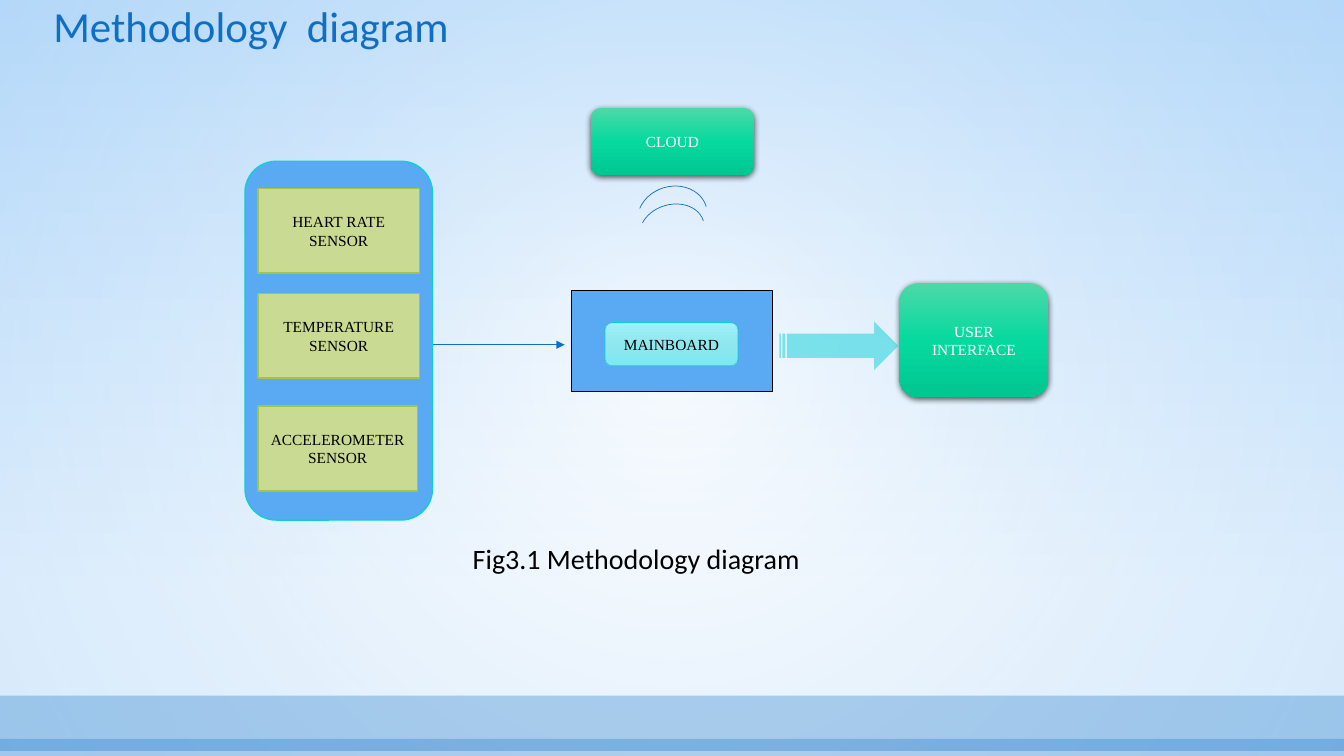
"""Build the methodology diagram slide: sensors, controller, cloud and user interface."""
from dataclasses import dataclass

from lxml.etree import SubElement
from pptx import Presentation
from pptx.dml.color import RGBColor
from pptx.enum.shapes import MSO_CONNECTOR, MSO_SHAPE
from pptx.enum.text import MSO_ANCHOR, PP_ALIGN
from pptx.oxml.ns import qn
from pptx.util import Inches, Pt

TITLE = "Methodology  diagram"
CAPTION = "Fig3.1 Methodology diagram"
CONTROLLER = "MAINBOARD"
SENSORS = [
    ("HEART RATE\nSENSOR", 1.87, 1.6),
    ("TEMPERATURE\nSENSOR", 2.91, 1.6),
    ("ACCELEROMETER\nSENSOR", 4.03, 1.58),
]
GREEN_BOXES = [
    ("USER INTERFACE", (8.92, 2.81, 1.48, 1.13)),
    ("CLOUD", (5.86, 1.07, 1.62, 0.67)),
]
BANDS = [((0, 6.9, 13.33, 0.55), 30), ((0, 7.33, 13.33, 0.17), 28)]
WAVES = [(6.34, 2.03, 0.65, 0.51), (6.32, 1.85, 0.7, 0.6)]


@dataclass(frozen=True)
class Theme:
    """Colours, fonts and type sizes."""
    blue: str = "0F6FC6"
    panel: str = "59AAF2"
    cyan: str = "0BD0D9"
    sensor: str = "C9DA92"
    sensor_line: str = "A5C249"
    black: str = "000000"
    white: str = "FFFFFF"
    backdrop: tuple = ((0, "C8E3FB", 56), (79, "FFFFFF", 100))
    glow: tuple = ((0, "FFFFFF", 49), (100, "91C6F7", 35))
    green: tuple = ((0, "4CD9A7", 100), (50, "06D99F", 100), (100, "00C690", 100))
    aqua: tuple = ((0, "9DF1F8", 100), (50, "90E7EE", 100), (100, "7CE9F1", 100))
    heading_font: str = "Calibri"
    label_font: str = "Times New Roman"
    title_size: float = 30.6
    caption_size: float = 20
    label_size: float = 11


THEME = Theme()


def add_alpha(color, percent):
    SubElement(color, qn("a:alpha"), val=str(percent * 1000))


def set_gradient(fill, owner, stops, radial=False):
    fill.gradient()
    gradient = owner.find(".//" + qn("a:gradFill"))
    for child in list(gradient):
        gradient.remove(child)
    stop_list = SubElement(gradient, qn("a:gsLst"))
    for position, value, percent in stops:
        stop = SubElement(stop_list, qn("a:gs"), pos=str(position * 1000))
        color = SubElement(stop, qn("a:srgbClr"), val=value)
        if percent < 100:
            add_alpha(color, percent)
    if radial:
        course = SubElement(gradient, qn("a:path"), path="circle")
        SubElement(course, qn("a:fillToRect"), l="50000", t="50000", r="50000", b="50000")
    else:
        SubElement(gradient, qn("a:lin"), ang="5400000", scaled="0")


def write(box, text, *, size=THEME.label_size, font=THEME.label_font, color=THEME.black,
          align=PP_ALIGN.CENTER, anchor=MSO_ANCHOR.MIDDLE, spacing=None):
    frame = box.text_frame
    frame.word_wrap = True
    frame.vertical_anchor = anchor
    for index, line in enumerate(text.split("\n")):
        para = frame.add_paragraph() if index else frame.paragraphs[0]
        para.alignment = align
        para.line_spacing = spacing
        span = para.add_run()
        span.text = line
        span.font.size = Pt(size)
        span.font.name = font
        span.font.color.rgb = RGBColor.from_string(color)


def add_box(page, kind, place, *, fill=None, alpha=100, stops=None, radial=False,
            line=None, width=1, shadow=False):
    box = page.shapes.add_shape(kind, *map(Inches, place))
    properties = box._element.spPr
    if stops:
        set_gradient(box.fill, properties, stops, radial)
    elif fill:
        box.fill.solid()
        box.fill.fore_color.rgb = RGBColor.from_string(fill)
        if alpha < 100:
            add_alpha(properties.find(".//" + qn("a:srgbClr")), alpha)
    else:
        box.fill.background()
    if line:
        box.line.color.rgb = RGBColor.from_string(line)
        box.line.width = Pt(width)
    else:
        box.line.fill.background()
    box.shadow.inherit = False
    if shadow:
        effects = properties.find(qn("a:effectLst"))
        outer = SubElement(effects, qn("a:outerShdw"), blurRad=str(Pt(4.5)),
                           dist=str(Pt(1.5)), dir="5400000", rotWithShape="0")
        add_alpha(SubElement(outer, qn("a:srgbClr"), val=THEME.black), 63)
    return box


def add_arrow(page, start, end):
    arrow = page.shapes.add_connector(MSO_CONNECTOR.STRAIGHT, *map(Inches, start + end))
    arrow.line.color.rgb = RGBColor.from_string(THEME.blue)
    arrow.line.width = Pt(0.5)
    properties = arrow._element.spPr
    SubElement(properties.find(qn("a:ln")), qn("a:tailEnd"), type="triangle")
    SubElement(properties, qn("a:effectLst"))


def draw_backdrop(page):
    set_gradient(page.background.fill, page._element, THEME.backdrop)
    add_box(page, MSO_SHAPE.RECTANGLE, (0, 0, 13.33, 7.5), stops=THEME.glow, radial=True)
    for place, alpha in BANDS:
        add_box(page, MSO_SHAPE.RECTANGLE, place, fill=THEME.blue, alpha=alpha)


def draw_diagram(page):
    add_box(page, MSO_SHAPE.ROUNDED_RECTANGLE, (2.43, 1.6, 1.86, 3.56),
            fill=THEME.panel, line=THEME.cyan)
    for label, top, width in SENSORS:
        sensor = add_box(page, MSO_SHAPE.RECTANGLE, (2.56, top, width, 0.84),
                         fill=THEME.sensor, line=THEME.sensor_line)
        write(sensor, label)
    add_box(page, MSO_SHAPE.RECTANGLE, (5.67, 2.88, 1.99, 1),
            fill=THEME.panel, line=THEME.black, width=0.5)
    controller = add_box(page, MSO_SHAPE.ROUNDED_RECTANGLE, (6, 3.2, 1.32, 0.43),
                         stops=THEME.aqua, line=THEME.cyan, width=0.5)
    write(controller, CONTROLLER)
    for label, place in GREEN_BOXES:
        box = add_box(page, MSO_SHAPE.ROUNDED_RECTANGLE, place, stops=THEME.green, shadow=True)
        write(box, label, color=THEME.white)
    add_arrow(page, (4.29, 3.42), (5.6, 3.42))
    add_box(page, MSO_SHAPE.STRIPED_RIGHT_ARROW, (7.73, 3.19, 1.18, 0.48),
            fill=THEME.cyan, alpha=50)
    for place in WAVES:
        wave = add_box(page, MSO_SHAPE.ARC, place, line=THEME.blue, width=0.5)
        wave.rotation = 343.4
        wave.adjustments[0] = 126.44
        wave.adjustments[1] = 0


def main():
    deck = Presentation()
    deck.slide_width, deck.slide_height = Inches(13.33), Inches(7.5)
    page = deck.slides.add_slide(deck.slide_layouts[6])
    draw_backdrop(page)
    title = page.shapes.add_textbox(*map(Inches, (0.43, 0, 9.02, 0.56)))
    write(title, TITLE, size=THEME.title_size, font=THEME.heading_font, color=THEME.blue,
          align=PP_ALIGN.LEFT, anchor=MSO_ANCHOR.BOTTOM, spacing=0.9)
    draw_diagram(page)
    caption = page.shapes.add_textbox(*map(Inches, (4.59, 5.32, 6.67, 0.44)))
    write(caption, CAPTION, size=THEME.caption_size, font=THEME.heading_font,
          align=PP_ALIGN.LEFT, anchor=MSO_ANCHOR.TOP)
    deck.save("out.pptx")


if __name__ == "__main__":
    main()
